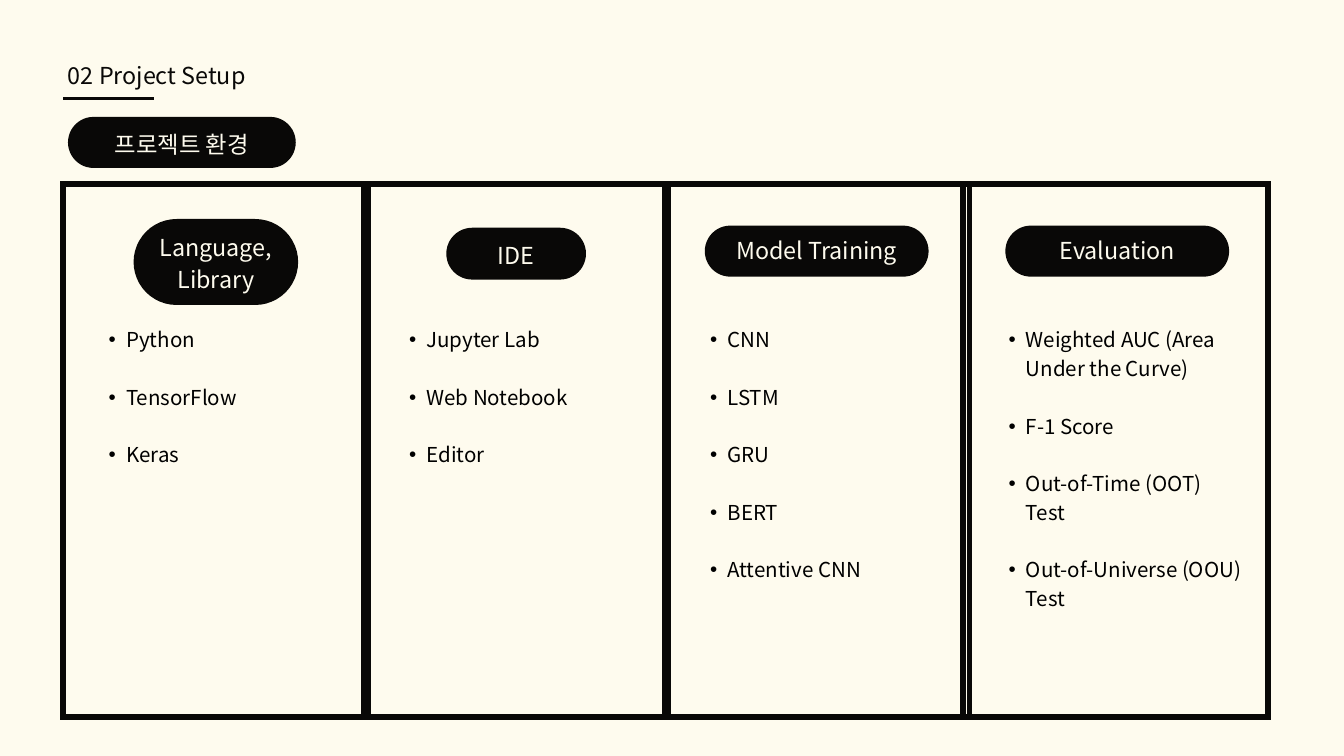
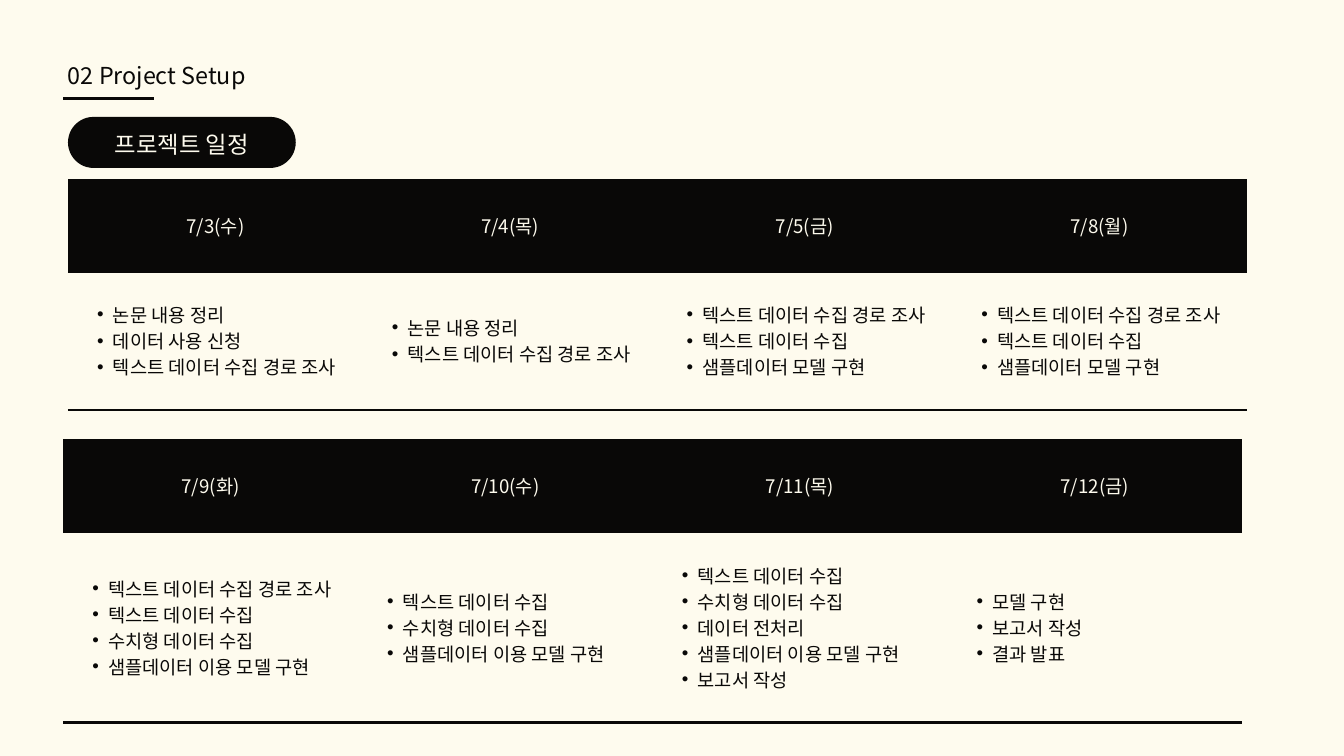
import pptx
import pptx.util
import pptx.dml.color
import pptx.enum.shapes
import pptx.enum.text
import pptx.oxml
import pptx.oxml.ns

Cm = pptx.util.Cm
Pt = pptx.util.Pt
SHAPE = pptx.enum.shapes.MSO_SHAPE
ALIGN = pptx.enum.text.PP_ALIGN
ANCHOR = pptx.enum.text.MSO_ANCHOR
NS = pptx.oxml.ns.nsdecls("a")
FONT = "Noto Sans CJK SC"
COLORS = {"paper": "FEFBEE", "ink": "090807", "list": "000000"}
RGB = {name: pptx.dml.color.RGBColor.from_string(h) for name, h in COLORS.items()}


def write(tf, lines, size, color, spacing, align=ALIGN.LEFT, indent=0, gap=0):
    tf.word_wrap = True
    for i, line in enumerate(lines):
        p = tf.paragraphs[0] if i == 0 else tf.add_paragraph()
        if indent:
            pPr = p._p.get_or_add_pPr()
            pPr.set("marL", str(Cm(indent)))
            pPr.set("indent", str(-Cm(indent / 2)))
            pPr.append(pptx.oxml.parse_xml(f'<a:buFont {NS} typeface="Arial"/>'))
            pPr.append(pptx.oxml.parse_xml(f'<a:buChar {NS} char="•"/>'))
        p.alignment = align
        p.line_spacing = Pt(spacing)
        p.space_before = Pt(gap if i else 0)
        r = p.add_run()
        r.text = line
        r.font.size = Pt(size)
        r.font.bold = False
        r.font.color.rgb = RGB[color]
        r.font.name = FONT
        r._r.get_or_add_rPr().append(
            pptx.oxml.parse_xml(f'<a:ea {NS} typeface="{FONT}"/>'))


def add_pill(s, lines, left, top, width, height, lift=0.04):
    sp = s.shapes.add_shape(SHAPE.ROUNDED_RECTANGLE, Cm(left), Cm(top), Cm(width), Cm(height))
    sp.adjustments[0] = 0.5
    sp.shadow.inherit = False
    sp.fill.solid()
    sp.fill.fore_color.rgb = RGB["ink"]
    sp.line.fill.background()
    tf = sp.text_frame
    tf.margin_left = tf.margin_right = tf.margin_top = 0
    tf.margin_bottom = Cm(2 * lift)
    tf.vertical_anchor = ANCHOR.MIDDLE
    write(tf, lines, 25, "paper", 35, ALIGN.CENTER)


prs = pptx.Presentation()
prs.slide_width = Cm(50.8)
prs.slide_height = Cm(28.58)
prs.slide_master.background.fill.solid()
prs.slide_master.background.fill.fore_color.rgb = RGB["paper"]

COMPARISON, TITLE_ONLY = 4, 5
slides = []
for layout, topic in [(COMPARISON, "프로젝트 환경"), (TITLE_ONLY, "프로젝트 일정")]:
    s = prs.slides.add_slide(prs.slide_layouts[layout])
    title = s.shapes.title
    title.left, title.top, title.width, title.height = Cm(2.57), Cm(2.13), Cm(7.24), Cm(1.17)
    tf = title.text_frame
    tf.margin_left = tf.margin_right = tf.margin_top = tf.margin_bottom = 0
    tf.vertical_anchor = ANCHOR.TOP
    tf.auto_size = pptx.enum.text.MSO_AUTO_SIZE.NONE
    write(tf, ["02 Project Setup"], 25, "ink", 35)
    rule = s.shapes.add_connector(
        pptx.enum.shapes.MSO_CONNECTOR.STRAIGHT, Cm(2.39), Cm(3.73), Cm(5.82), Cm(3.73))
    rule.line.color.rgb = RGB["ink"]
    rule.line.width = Pt(3)
    rule._element.spPr.append(pptx.oxml.parse_xml(f"<a:effectLst {NS}/>"))
    add_pill(s, [topic], 2.57, 4.42, 8.61, 1.93)
    slides.append(s)

setup, schedule = slides

columns = [
    (2.39, ["Language,", "Library"], (5.05, 8.28, 6.22, 3.25, 0.04),
     ["Python", "TensorFlow", "Keras"]),
    (13.74, ["IDE"], (16.87, 8.61, 5.28, 1.96, 0.02),
     ["Jupyter Lab", "Web Notebook", "Editor"]),
    (25.12, ["Model Training"], (26.64, 8.53, 8.46, 1.93, 0.14),
     ["CNN", "LSTM", "GRU", "BERT", "Attentive CNN"]),
    (36.4, ["Evaluation"], (38, 8.53, 8.46, 1.93, 0.14),
     ["Weighted AUC (Area Under the Curve)", "F-1 Score",
      "Out-of-Time (OOT) Test", "Out-of-Universe (OOU) Test"]),
]
for idx, (left, heading, pill, items) in enumerate(columns, 1):
    frame = setup.shapes.add_shape(SHAPE.RECTANGLE, Cm(left), Cm(6.96), Cm(11.53), Cm(20.14))
    frame.shadow.inherit = False
    frame.fill.background()
    frame.line.color.rgb = RGB["ink"]
    frame.line.width = Pt(6)
    frame.line._get_or_add_ln().append(
        pptx.oxml.parse_xml(f'<a:miter {NS} lim="800000"/>'))
    add_pill(setup, heading, *pill)
    body = setup.placeholders[idx]
    body.left, body.top, body.width, body.height = Cm(left + 1.06), Cm(12.22), Cm(9.5), Cm(11.89)
    tf = body.text_frame
    tf.margin_left = tf.margin_right = tf.margin_top = tf.margin_bottom = 0
    tf.vertical_anchor = ANCHOR.TOP
    tf.auto_size = pptx.enum.text.MSO_AUTO_SIZE.NONE
    write(tf, items, 22, "list", 30.8, indent=1.32, gap=30.8)

paper_tasks = "논문 내용 정리"
source_search = "텍스트 데이터 수집 경로 조사"
text_data = "텍스트 데이터 수집"
numeric_data = "수치형 데이터 수집"
sample_model = "샘플데이터 모델 구현"
sample_use = "샘플데이터 이용 모델 구현"
report = "보고서 작성"
weeks = [
    (2.57, 6.76, 5.21, {
        "7/3(수)": [paper_tasks, "데이터 사용 신청", source_search],
        "7/4(목)": [paper_tasks, source_search],
        "7/5(금)": [source_search, text_data, sample_model],
        "7/8(월)": [source_search, text_data, sample_model],
    }),
    (2.39, 16.61, 7.17, {
        "7/9(화)": [source_search, text_data, numeric_data, sample_use],
        "7/10(수)": [text_data, numeric_data, sample_use],
        "7/11(목)": [text_data, numeric_data, "데이터 전처리", sample_use, report],
        "7/12(금)": ["모델 구현", report, "결과 발표"],
    }),
]
for left, top, body_height, days in weeks:
    table = schedule.shapes.add_table(
        2, len(days), Cm(left), Cm(top), Cm(44.55), Cm(3.53 + body_height)).table
    table.first_row = table.horz_banding = False
    table.rows[0].height = Cm(3.53)
    table.rows[1].height = Cm(body_height)
    for col, (day, tasks) in enumerate(days.items()):
        table.columns[col].width = Cm(11.14)
        for row, border in enumerate([0.75, 3]):
            cell = table.cell(row, col)
            tcPr = cell._tc.get_or_add_tcPr()
            for side in ("lnL", "lnR", "lnT"):
                tcPr.append(pptx.oxml.parse_xml(f'<a:{side} {NS} w="0"><a:noFill/></a:{side}>'))
            tcPr.append(pptx.oxml.parse_xml(
                f'<a:lnB {NS} w="{Pt(border)}"><a:solidFill>'
                f'<a:srgbClr val="{COLORS["ink"]}"/></a:solidFill></a:lnB>'))
            cell.margin_left = cell.margin_right = Cm(0.51)
            cell.margin_top = cell.margin_bottom = Cm(0.51)
            cell.vertical_anchor = ANCHOR.MIDDLE
        head, body = table.cell(0, col), table.cell(1, col)
        head.fill.solid()
        head.fill.fore_color.rgb = RGB["ink"]
        body.fill.background()
        write(head.text_frame, [day], 20, "paper", 28, ALIGN.CENTER)
        write(body.text_frame, tasks, 20, "ink", 28, indent=1.19)

prs.save("out.pptx")
